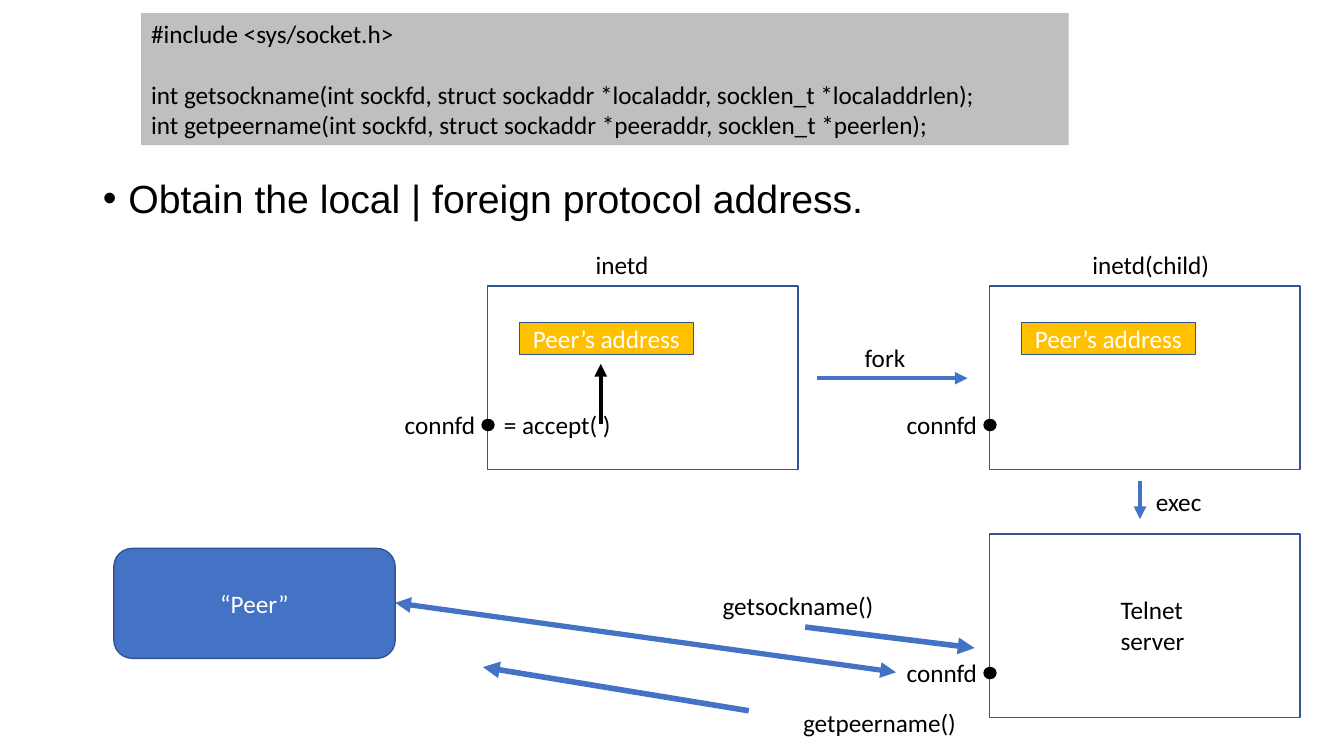
import pptx
import pptx.util
import pptx.dml.color
import pptx.enum.shapes
import pptx.enum.text
import pptx.oxml
import pptx.oxml.ns

Cm = pptx.util.Cm
Pt = pptx.util.Pt
RGB = pptx.dml.color.RGBColor.from_string
SHAPE = pptx.enum.shapes.MSO_SHAPE
ALIGN = pptx.enum.text.PP_ALIGN
ANCHOR = pptx.enum.text.MSO_ANCHOR
FIT = pptx.enum.text.MSO_AUTO_SIZE

THEME = {
    "black": RGB("000000"), "white": RGB("FFFFFF"), "grey": RGB("BFBFBF"),
    "blue": RGB("4472C4"), "outline": RGB("325491"), "amber": RGB("FFC000"),
    "body": {"name": "Arial", "size": Pt(28)},
    "label": {"name": "Calibri", "size": Pt(18)},
}


def write_text(frame, text, colour="black", style="label", wrap=True, **paragraph_format):
    """Fill a text frame, one paragraph per line, and format it."""
    frame.text = text
    frame.auto_size = FIT.NONE if wrap else FIT.SHAPE_TO_FIT_TEXT
    frame.word_wrap = wrap
    for paragraph in frame.paragraphs:
        for name, value in paragraph_format.items():
            setattr(paragraph, name, value)
        for run in paragraph.runs:
            for name, value in THEME[style].items():
                setattr(run.font, name, value)
            run.font.color.rgb = THEME[colour]


def draw_shape(kind, left, top, width, height, fill=None, line=None):
    """Add a preset shape; sizes are in centimetres."""
    shape = slide.shapes.add_shape(kind, Cm(left), Cm(top), Cm(width), Cm(height))
    shape.shadow.inherit = False
    for part, colour in ((shape.fill, fill), (shape.line.fill, line)):
        if colour:
            part.solid()
            part.fore_color.rgb = THEME[colour]
        else:
            part.background()
    if line:
        shape.line.width = Pt(1)
    return shape


presentation = pptx.Presentation()
presentation.slide_width = Cm(33.87)
presentation.slide_height = Cm(19.05)
slide = presentation.slides.add_slide(presentation.slide_layouts[1])

# Bullet line in the body placeholder; the slide has no title
title = slide.shapes.title
title.element.getparent().remove(title.element)
body = slide.placeholders[1]
for name, value in {"left": 2.34, "top": 4.39, "width": 23.11, "height": 1.42}.items():
    setattr(body, name, Cm(value))
write_text(body.text_frame, "Obtain the local | foreign protocol address.", style="body",
           line_spacing=0.9, space_before=Pt(10))
bullet_properties = body.text_frame.paragraphs[0]._p.get_or_add_pPr()
bullet_properties.set("marL", str(Cm(0.64)))
bullet_properties.set("indent", str(Cm(-0.64)))

# Function prototypes
code = draw_shape(SHAPE.RECTANGLE, 3.56, 0.33, 23.37, 3.33, fill="grey")
code.text_frame.vertical_anchor = ANCHOR.TOP
write_text(code.text_frame, "#include <sys/socket.h>\n"
           "int getsockname(int sockfd, struct sockaddr *localaddr, socklen_t *localaddrlen);\n"
           "int getpeername(int sockfd, struct sockaddr *peeraddr, socklen_t *peerlen);",
           alignment=ALIGN.LEFT)
code.text_frame.paragraphs[1].space_before = Pt(22)

# Process boxes, each with its connected socket: left, top, holds the peer's address
labels = []
for left, top, has_address in ((12.29, 7.21, True), (24.94, 7.21, True), (24.94, 13.46, False)):
    draw_shape(SHAPE.RECTANGLE, left, top, 7.82, 4.62, line="outline")
    draw_shape(SHAPE.OVAL, left - 0.14, top + 3.36, 0.3, 0.28, fill="black", line="black")
    labels.append(("connfd", left - 2.34, top + 2.97, 2.46, True))
    if has_address:
        address = draw_shape(SHAPE.RECTANGLE, left + 0.8, top + 0.91, 4.39, 0.81,
                             fill="amber", line="outline")
        address.text_frame.vertical_anchor = ANCHOR.MIDDLE
        write_text(address.text_frame, "Peer’s address", "white", alignment=ALIGN.CENTER)

# Remote peer
peer = draw_shape(SHAPE.ROUNDED_RECTANGLE, 2.87, 13.82, 7.09, 2.77, fill="blue", line="outline")
peer.text_frame.vertical_anchor = ANCHOR.MIDDLE
write_text(peer.text_frame, "“Peer”", "white", alignment=ALIGN.CENTER)

# Labels: text, left, top, width, wrapped
labels += [
    ("= accept( )", 12.45, 10.18, 3.38, False),
    ("Telnet\nserver", 27.99, 14.86, 2.46, True),
    ("fork", 21.54, 8.51, 1.55, False),
    ("exec", 28.88, 12.12, 1.68, False),
    ("inetd", 14.76, 6.15, 2.18, True),
    ("inetd(child)", 27.28, 6.15, 4.06, True),
    ("getsockname()", 17.96, 14.76, 4.65, True),
    ("getpeername()", 19.99, 17.7, 4.65, True),
]
for text, left, top, width, wrap in labels:
    height = 1.02 + 0.78 * text.count("\n")
    label = slide.shapes.add_textbox(Cm(left), Cm(top), Cm(width), Cm(height))
    write_text(label.text_frame, text, wrap=wrap)

# Arrows: start, end, colour, width, arrowheads
arrows = (
    ((15.14, 10.69), (15.14, 9.17), "black", 3, ["tailEnd"]),
    ((20.6, 9.53), (24.38, 9.53), "blue", 3, ["tailEnd"]),
    ((28.73, 12.12), (28.73, 13.08), "blue", 3, ["tailEnd"]),
    ((9.96, 15.19), (22.58, 16.94), "blue", 3.75, ["headEnd", "tailEnd"]),
    ((18.87, 17.91), (12.17, 16.81), "blue", 4, ["tailEnd"]),
    ((20.29, 15.8), (24.56, 16.33), "blue", 4, ["tailEnd"]),
)
for start, end, colour, width, heads in arrows:
    arrow = slide.shapes.add_connector(pptx.enum.shapes.MSO_CONNECTOR.STRAIGHT,
                                       *(Cm(value) for value in start + end))
    arrow.line.color.rgb = THEME[colour]
    arrow.line.width = Pt(width)
    for head in heads:
        arrowhead = pptx.oxml.parse_xml(
            f'<a:{head} {pptx.oxml.ns.nsdecls("a")} type="triangle"/>')
        arrow.line._get_or_add_ln().append(arrowhead)
    arrow._element.spPr.append(
        pptx.oxml.parse_xml(f'<a:effectLst {pptx.oxml.ns.nsdecls("a")}/>'))

presentation.save("out.pptx")
